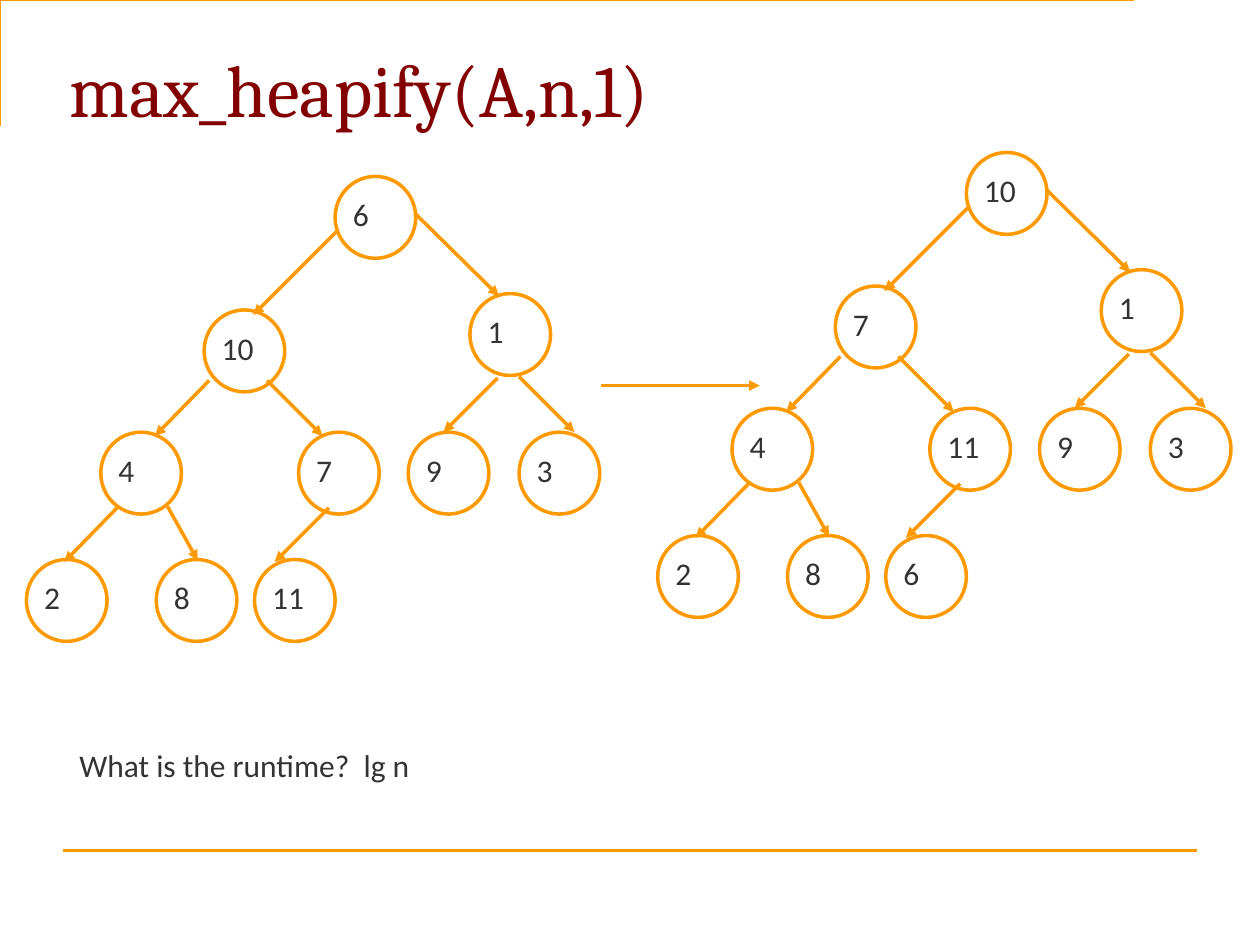
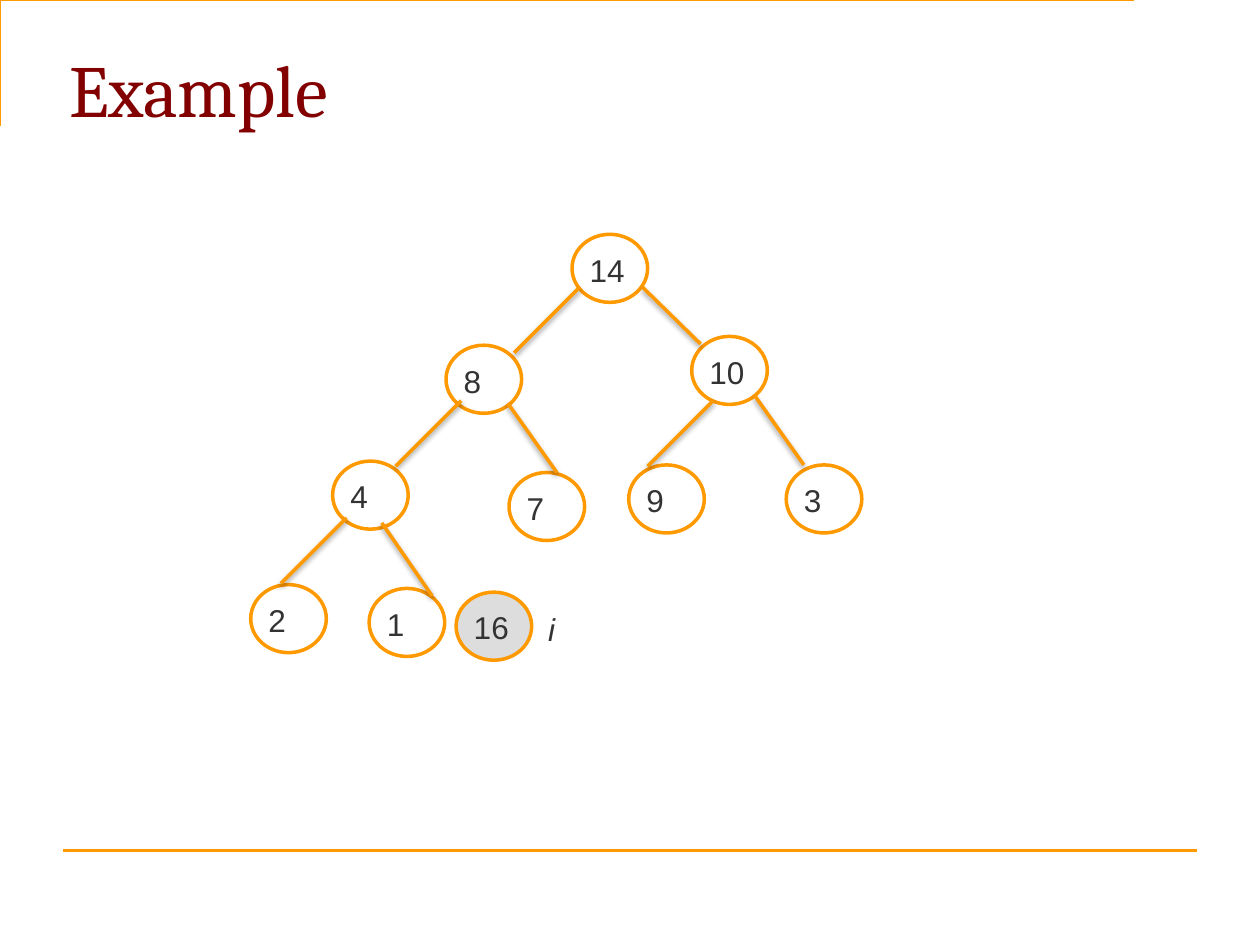
"""Build two slides that show heap trees before and after max_heapify."""
import lxml.etree
import pptx
import pptx.dml.color
import pptx.enum.shapes
import pptx.enum.text
import pptx.oxml
import pptx.oxml.ns
import pptx.util
from pptx.util import Inches

ORANGE, MAROON, DARK, WHITE, GREY = "FF9900", "820000", "333333", "FFFFFF", "DDDDDD"
STRAIGHT = pptx.enum.shapes.MSO_CONNECTOR.STRAIGHT
OVAL = pptx.enum.shapes.MSO_SHAPE.OVAL
NAMESPACE = pptx.oxml.ns.nsdecls("a")
NO_EFFECT = f"<a:effectLst {NAMESPACE}/>"
SOFT_SHADOW = (
    f'<a:effectLst {NAMESPACE}><a:outerShdw blurRad="38100" dist="20320" dir="5400000" '
    'rotWithShape="0"><a:srgbClr val="000000"><a:alpha val="38000"/></a:srgbClr>'
    "</a:outerShdw></a:effectLst>"
)


def colour(value):
    return pptx.dml.color.RGBColor.from_string(value)


def add_text(shapes, text, left, top, width, height, font="Calibri", size=18, value=DARK):
    box = shapes.add_textbox(Inches(left), Inches(top), Inches(width), Inches(height))
    frame = box.text_frame
    frame.word_wrap = True
    frame.margin_left = frame.margin_right = Inches(0.05)
    frame.margin_top = frame.margin_bottom = Inches(0.05)
    frame.vertical_anchor = pptx.enum.text.MSO_ANCHOR.TOP
    paragraph = frame.paragraphs[0]
    paragraph.text = text
    paragraph.font.name = font
    paragraph.font.size = pptx.util.Pt(size)
    paragraph.font.color.rgb = colour(value)
    return box


presentation = pptx.Presentation()
presentation.slide_width = Inches(10)
presentation.slide_height = Inches(7.5)

slides = []
for title in ["max_heapify(A,n,1)", "Example"]:
    slide = presentation.slides.add_slide(presentation.slide_layouts[6])
    builder = slide.shapes.build_freeform(0.42, 0.92, scale=Inches(1))
    builder.add_line_segments([(0.42, 0.25), (9.42, 0.25)], close=False)
    corner = builder.convert_to_shape()
    corner.fill.background()
    corner.shadow.inherit = False
    footer = slide.shapes.add_connector(
        STRAIGHT, Inches(0.5), Inches(6.75), Inches(9.5), Inches(6.75))
    footer._element.spPr.append(pptx.oxml.parse_xml(NO_EFFECT))
    for rule in [corner, footer]:
        rule.line.color.rgb = colour(ORANGE)
        rule.line.width = pptx.util.Pt(1.5)
    add_text(slide.shapes, title, 0.5, 0.3, 9, 1.03, "Cambria", 42, MAROON)
    slides.append(slide)
heapify_slide, example_slide = slides

heapify_places = [
    (2.66, 1.4), (1.62, 2.46), (3.73, 2.33), (0.8, 3.43), (2.37, 3.43),
    (3.24, 3.43), (4.12, 3.43), (0.21, 4.44), (1.24, 4.44), (2.02, 4.44),
]
heapify_edges = [
    (2.67, 1.84, 2.01, 2.5), (3.29, 1.69, 3.96, 2.35), (1.66, 3.02, 1.23, 3.46),
    (2.12, 3.02, 2.56, 3.46), (0.94, 4.02, 0.51, 4.46), (1.33, 4.02, 1.57, 4.45),
    (2.61, 4.03, 2.18, 4.46), (3.95, 3, 3.52, 3.43), (4.12, 2.99, 4.56, 3.43),
]
step_arrow = (4.77, 3.06, 6.03, 3.06)
example_places = [
    (4.54, 1.86), (3.54, 2.74), (5.49, 2.67), (2.64, 3.66), (4.04, 3.75),
    (4.99, 3.69), (6.24, 3.69), (1.99, 4.64), (2.93, 4.67), (3.62, 4.7),
]
example_edges = [
    (4.08, 2.8, 4.6, 2.28), (5.56, 2.73, 5.1, 2.28), (3.14, 3.7, 3.66, 3.18),
    (4.42, 3.75, 4.03, 3.2), (5.14, 3.7, 5.66, 3.18), (6.38, 3.69, 5.99, 3.14),
    (2.23, 4.63, 2.75, 4.11), (3.43, 4.73, 3.03, 4.15),
]
heapify_style = {"size": (0.64, 0.65), "label": (0.09, 0.1, 0.46, 0.39),
                 "font": "Calibri", "arrows": True}
example_style = {"size": (0.6, 0.54), "label": (0.09, 0.08, 0.42, 0.38),
                 "font": "Arial", "arrows": False}
example_group = example_slide.shapes.add_group_shape()

trees = [
    (heapify_slide.shapes, heapify_style, (0, 0), [6, 10, 1, 4, 7, 9, 3, 2, 8, 11],
     heapify_places, heapify_edges + [step_arrow]),
    (heapify_slide.shapes, heapify_style, (5.01, -0.19), [10, 7, 1, 4, 11, 9, 3, 2, 8, 6],
     heapify_places, heapify_edges),
    (example_group.shapes, example_style, (0, 0), [14, 8, 10, 4, 7, 9, 3, 2, 1, 16],
     example_places, example_edges),
]
for shapes, style, (shift_x, shift_y), keys, places, edges in trees:
    width, height = style["size"]
    label_x, label_y, label_width, label_height = style["label"]
    for key, (x, y) in zip(keys, places):
        left, top = x + shift_x, y + shift_y
        node_shapes = shapes.add_group_shape().shapes if style["arrows"] else shapes
        node = node_shapes.add_shape(
            OVAL, Inches(left), Inches(top), Inches(width), Inches(height))
        node.shadow.inherit = False
        node.fill.solid()
        node.fill.fore_color.rgb = colour(GREY if key == 16 else WHITE)
        node.line.color.rgb = colour(ORANGE)
        node.line.width = pptx.util.Pt(2)
        add_text(node_shapes, str(key), left + label_x, top + label_y,
                 label_width, label_height, style["font"])
    for start_x, start_y, end_x, end_y in edges:
        edge = shapes.add_connector(
            STRAIGHT, Inches(start_x + shift_x), Inches(start_y + shift_y),
            Inches(end_x + shift_x), Inches(end_y + shift_y))
        edge.line.color.rgb = colour(ORANGE)
        edge.line.width = pptx.util.Pt(2)
        effect = NO_EFFECT if style["arrows"] else SOFT_SHADOW
        edge._element.spPr.append(pptx.oxml.parse_xml(effect))
        if style["arrows"]:
            lxml.etree.SubElement(
                edge.line._get_or_add_ln(), pptx.oxml.ns.qn("a:tailEnd"), type="triangle")

add_text(heapify_slide.shapes, "What is the runtime?  lg n", 0.58, 5.87, 6.32, 0.39)
index_label = add_text(example_slide.shapes, "i", 4.3, 4.79, 0.17, 0.38, "Arial")
index_label.text_frame.word_wrap = False
index_label.text_frame.paragraphs[0].font.italic = True

presentation.save("out.pptx")
